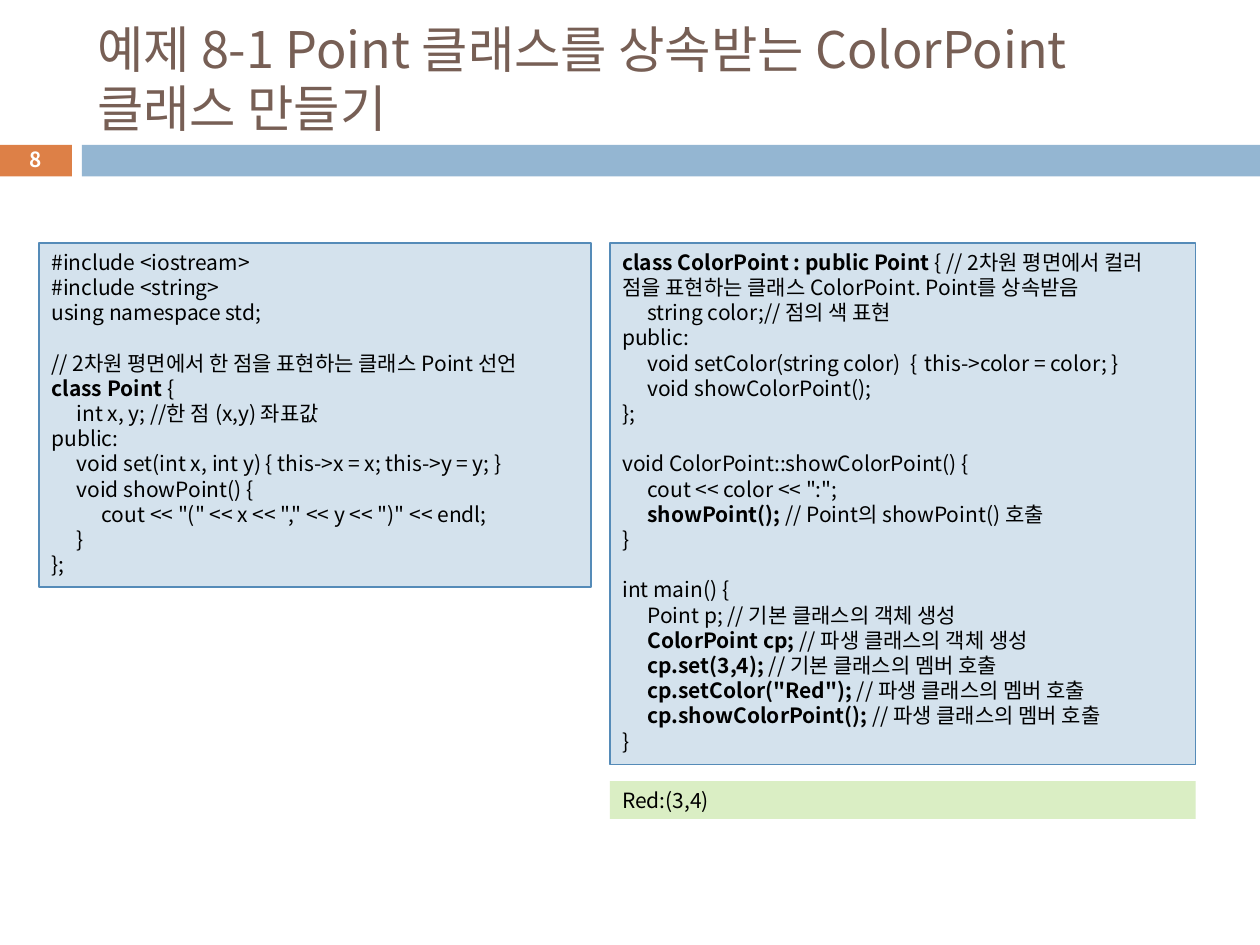
"""Build a slide showing a C++ class inheritance example."""
from lxml import etree
from pptx import Presentation
from pptx.dml.color import RGBColor
from pptx.enum import shapes, text
from pptx.oxml.ns import qn
from pptx.util import Inches, Pt

FONT = "Noto Sans CJK KR"
BLACK = RGBColor(0x00, 0x00, 0x00)
WHITE = RGBColor(0xFF, 0xFF, 0xFF)
BROWN = RGBColor(0x77, 0x5F, 0x55)
ORANGE = RGBColor(0xDD, 0x80, 0x47)
BLUE = RGBColor(0x94, 0xB6, 0xD2)
PALE_BLUE = RGBColor(0xD4, 0xE2, 0xED)
EDGE_BLUE = RGBColor(0x55, 0x8B, 0xB8)
PALE_GREEN = RGBColor(0xDA, 0xEE, 0xC4)

TITLE = "예제 8-1 Point 클래스를 상속받는 ColorPoint 클래스 만들기"
TAB_STEP = 0.2
TAB_COUNT = 12

POINT_CODE = [
    ("", "#include <iostream>"),
    ("", "#include <string>"),
    ("", "using namespace std;"),
    ("", ""),
    ("", "// 2차원 평면에서 한 점을 표현하는 클래스 Point 선언"),
    ("class Point ", "{"),
    ("", "\tint x, y; //한 점 (x,y) 좌표값"),
    ("", "public:"),
    ("", "\tvoid set(int x, int y) { this->x = x; this->y = y; }"),
    ("", "\tvoid showPoint() {"),
    ("", '\t\tcout << "(" << x << "," << y << ")" << endl;'),
    ("", "\t}"),
    ("", "};"),
]
COLOR_POINT_CODE = [
    ("class ColorPoint : public Point ",
     "{ // 2차원 평면에서 컬러 점을 표현하는 클래스 ColorPoint. Point를 상속받음"),
    ("", "\tstring color;// 점의 색 표현"),
    ("", "public:"),
    ("", "\tvoid setColor(string color)  {\tthis->color = color; }"),
    ("", "\tvoid showColorPoint();"),
    ("", "};"),
    ("", ""),
    ("", "void ColorPoint::showColorPoint() {"),
    ("", '\tcout << color << ":";'),
    ("\tshowPoint(); ", "// Point의 showPoint() 호출"),
    ("", "}"),
    ("", ""),
    ("", "int main() {"),
    ("", "\tPoint p; // 기본 클래스의 객체 생성"),
    ("\tColorPoint cp; ", "// 파생 클래스의 객체 생성"),
    ("\tcp.set(3,4); ", "// 기본 클래스의 멤버 호출"),
    ('\tcp.setColor("Red"); ', "// 파생 클래스의 멤버 호출"),
    ("\tcp.showColorPoint(); ", "// 파생 클래스의 멤버 호출"),
    ("", "}"),
]


def style_span(span, size, color, bold=False):
    """Set the font of a run for Latin and Korean text."""
    font = span.font
    font.size, font.bold, font.name = Pt(size), bold, FONT
    font.color.rgb = color
    etree.SubElement(span._r.get_or_add_rPr(), qn("a:ea"), typeface=FONT)


def place(box, left, top, width, height):
    """Move and size a shape, in inches."""
    box.left, box.top = Inches(left), Inches(top)
    box.width, box.height = Inches(width), Inches(height)


def add_tabs(para):
    """Give a paragraph evenly spaced tab stops."""
    tabs = etree.SubElement(para._p.get_or_add_pPr(), qn("a:tabLst"))
    for number in range(1, TAB_COUNT + 1):
        position = Inches(number * TAB_STEP)
        etree.SubElement(tabs, qn("a:tab"), pos=str(position), algn="l")


def add_panel(page, bounds, fill, edge=None):
    """Add a flat rectangle with an optional thin outline."""
    box = page.shapes.add_shape(
        shapes.MSO_SHAPE.RECTANGLE, *(Inches(value) for value in bounds))
    box.shadow.inherit = False
    box.fill.solid()
    box.fill.fore_color.rgb = fill
    if edge is None:
        box.line.fill.background()
    else:
        box.line.color.rgb = edge
        box.line.width = Pt(0.75)
    return box


def add_code(page, bounds, lines, fill, edge=None):
    """Add a panel of code lines, each a bold part and a plain part."""
    frame = add_panel(page, bounds, fill, edge).text_frame
    frame.word_wrap = True
    frame.vertical_anchor = text.MSO_ANCHOR.TOP
    frame.text = "\n".join(bold for bold, plain in lines)
    for para, (bold, plain) in zip(frame.paragraphs, lines):
        para.alignment = text.PP_ALIGN.LEFT
        para.line_spacing = Pt(14.4)
        add_tabs(para)
        for span in para.runs:
            style_span(span, 12, BLACK, True)
        if plain:
            span = para.add_run()
            span.text = plain
            style_span(span, 12, BLACK)


def set_title(page):
    """Fill and format the title placeholder."""
    box = page.shapes.title
    place(box, 0.67, 0.25, 8.92, 0.74)
    frame = box.text_frame
    frame.text = TITLE
    frame.word_wrap = True
    frame.auto_size = text.MSO_AUTO_SIZE.NONE
    frame.vertical_anchor = text.MSO_ANCHOR.MIDDLE
    para = frame.paragraphs[0]
    para.alignment = text.PP_ALIGN.LEFT
    para.line_spacing = Pt(33.8)
    style_span(para.runs[0], 28.8, BROWN)


def add_page_number(page):
    """Add the page number over the orange block."""
    box = page.shapes.add_textbox(
        Inches(-0.01), Inches(1.13), Inches(0.58), Inches(0.27))
    frame = box.text_frame
    frame.text = "8"
    frame.word_wrap = True
    frame.vertical_anchor = text.MSO_ANCHOR.MIDDLE
    para = frame.paragraphs[0]
    para.alignment = text.PP_ALIGN.CENTER
    para.line_spacing = Pt(14.4)
    style_span(para.runs[0], 11.9, WHITE, True)


def main():
    """Build and save the deck."""
    deck = Presentation()
    deck.slide_width, deck.slide_height = Inches(10), Inches(7.5)
    page = deck.slides.add_slide(deck.slide_layouts[5])
    add_panel(page, (-0.01, 1.15, 0.58, 0.25), ORANGE)
    add_panel(page, (0.65, 1.15, 9.35, 0.25), BLUE)
    set_title(page)
    add_page_number(page)
    add_code(page, (0.31, 1.93, 4.38, 2.73), POINT_CODE, PALE_BLUE, EDGE_BLUE)
    add_code(page, (4.84, 1.93, 4.65, 4.14), COLOR_POINT_CODE, PALE_BLUE, EDGE_BLUE)
    add_code(page, (4.84, 6.2, 4.65, 0.3), [("", "Red:(3,4)")], PALE_GREEN)
    deck.save("out.pptx")


if __name__ == "__main__":
    main()
